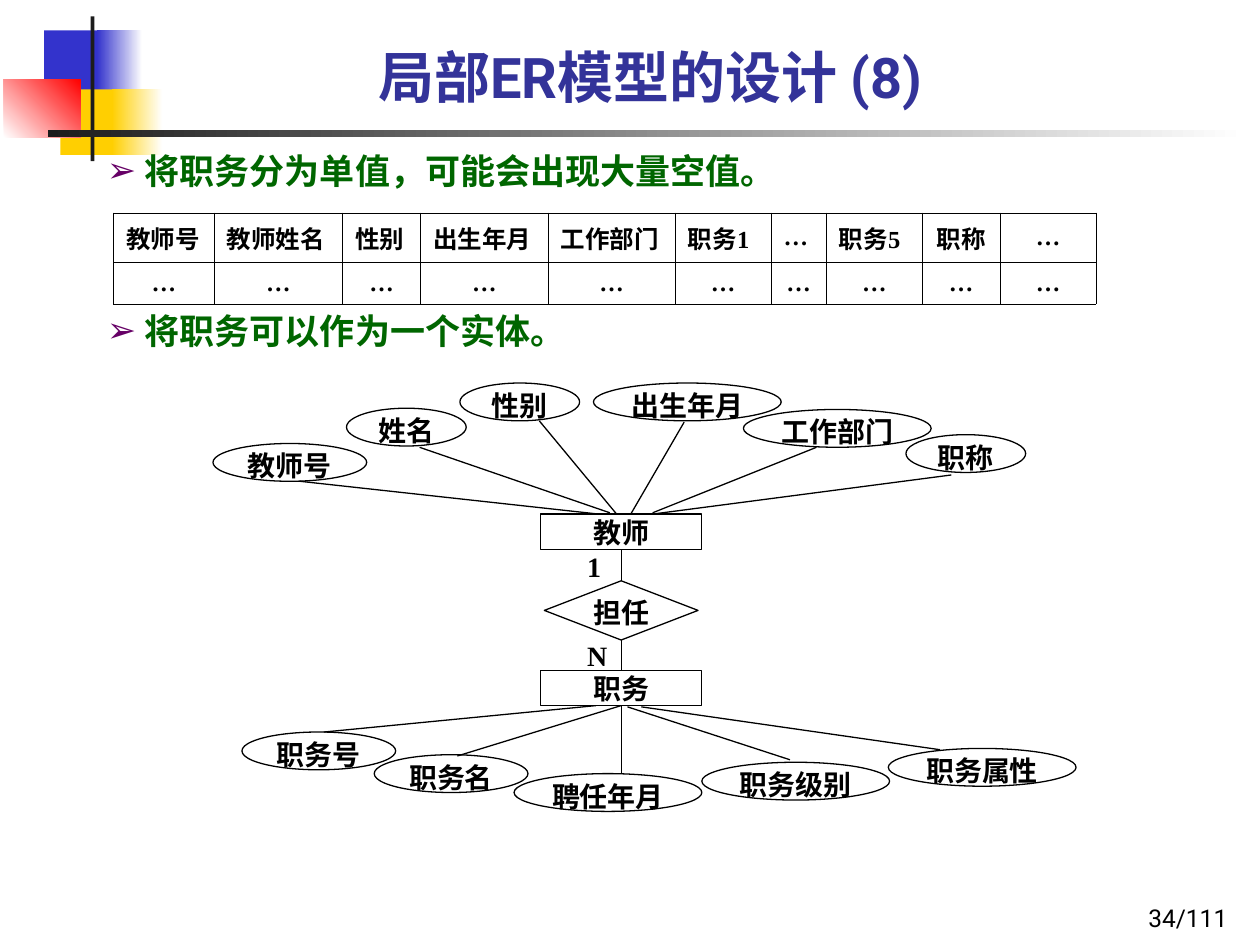
"""Build a slide on splitting the teacher's posts into an entity of a local ER model."""
from lxml.etree import SubElement
from pptx import Presentation
from pptx.dml.color import RGBColor
from pptx.enum.shapes import MSO_CONNECTOR, MSO_SHAPE
from pptx.enum.text import MSO_ANCHOR, PP_ALIGN
from pptx.oxml import parse_xml
from pptx.oxml.ns import nsdecls, qn
from pptx.util import Inches, Pt

THEME = {
    "sans": "Roboto", "serif": "Times New Roman",
    "title": "333399", "point": "006600", "bullet": "660066", "ink": "000000", "paper": "FFFFFF",
    "blue": "3333CC", "yellow": "FFCF01", "red": "FF0000", "bar": "1C1C1C",
    "title_size": 32, "point_size": 20, "diagram_size": 16, "small_size": 14,
    "line": 0.75, "border": 0.45,
}


def write(frame, text, size="diagram_size", color="ink", font="serif", bold=True,
          align=PP_ALIGN.CENTER, anchor=MSO_ANCHOR.TOP, margins=(0, 0, 0, 0), bullet=None):
    frame.word_wrap = True
    frame.vertical_anchor = anchor
    frame.margin_left, frame.margin_top, frame.margin_right, frame.margin_bottom = map(Inches, margins)
    paragraph = frame.paragraphs[0]
    paragraph.alignment = align
    if bullet:
        properties = paragraph._p.get_or_add_pPr()
        properties.set("marL", str(Inches(0.3)))
        properties.set("indent", str(Inches(-0.3)))
        bullet_color = SubElement(properties, qn("a:buClr"))
        SubElement(bullet_color, qn("a:srgbClr")).set("val", THEME["bullet"])
        SubElement(properties, qn("a:buFont")).set("typeface", THEME[font])
        SubElement(properties, qn("a:buChar")).set("char", bullet)
    run = paragraph.add_run()
    run.text = text
    run.font.name = THEME[font]
    run.font.size = Pt(THEME[size])
    run.font.bold = bold
    run.font.color.rgb = RGBColor.from_string(THEME[color])


def draw(kind, box, fill=None, fade=None, angle=0, outlined=False):
    shape = slide.shapes.add_shape(kind, *map(Inches, box))
    shape.shadow.inherit = False
    if fade:
        shape.fill.gradient()
        shape.fill.gradient_angle = angle
        for stop, name in zip(shape.fill.gradient_stops, (fill, fade)):
            stop.color.rgb = RGBColor.from_string(THEME[name])
    elif fill:
        shape.fill.solid()
        shape.fill.fore_color.rgb = RGBColor.from_string(THEME[fill])
    else:
        shape.fill.background()
    if outlined:
        shape.line.color.rgb = RGBColor.from_string(THEME["ink"])
        shape.line.width = Pt(THEME["line"])
    else:
        shape.line.fill.background()
    return shape


presentation = Presentation()
presentation.slide_width, presentation.slide_height = Inches(10), Inches(7.5)
slide = presentation.slides.add_slide(presentation.slide_layouts[6])

for box, fill, fade, angle in [
    ((0.35, 0.24, 0.48, 0.52), "blue", None, 0),
    ((0.77, 0.24, 0.36, 0.52), "blue", "paper", 0),
    ((0.48, 0.71, 0.46, 0.52), "yellow", None, 0),
    ((0.89, 0.71, 0.4, 0.52), "yellow", "paper", 0),
    ((0.03, 0.63, 0.61, 0.46), "paper", "red", 45),
    ((0.72, 0.13, 0.03, 1.15), "bar", None, 0),
    ((0.38, 1.03, 9.51, 0.06), "bar", "paper", 0),
]:
    draw(MSO_SHAPE.RECTANGLE, box, fill, fade, angle)

padding = (0.1, 0.05, 0.1, 0.05)
point_format = dict(size="point_size", color="point", font="sans", align=PP_ALIGN.LEFT,
                    margins=padding, bullet="➢")
for box, text, style in [
    ((7.76, 6.95, 2.08, 0.5), "34/111",
     dict(size="small_size", font="sans", bold=False, align=PP_ALIGN.RIGHT,
          anchor=MSO_ANCHOR.BOTTOM, margins=padding)),
    ((0.9, 0.05, 8.52, 0.87), "局部ER模型的设计 (8)",
     dict(size="title_size", color="title", font="sans", anchor=MSO_ANCHOR.BOTTOM, margins=padding)),
    ((0.75, 1.14, 7.79, 0.44), "将职务分为单值，可能会出现大量空值。", point_format),
    ((0.75, 2.41, 7.79, 0.44), "将职务可以作为一个实体。", point_format),
    ((4.66, 5.07, 0.22, 0.26), "N", dict(align=PP_ALIGN.JUSTIFY)),
    ((4.66, 4.36, 0.24, 0.26), "1", dict(align=PP_ALIGN.JUSTIFY)),
]:
    write(slide.shapes.add_textbox(*map(Inches, box)).text_frame, text, **style)

headers = ["教师号", "教师姓名", "性别", "出生年月", "工作部门", "职务1", "…", "职务5", "职称", "…"]
widths = [0.8, 1.02, 0.62, 1.01, 1.01, 0.76, 0.44, 0.76, 0.62, 0.76]
heights = [0.39, 0.33]
teacher_table = slide.shapes.add_table(
    len(heights), len(headers), Inches(0.9), Inches(1.69),
    Inches(sum(widths)), Inches(sum(heights))).table
teacher_table.first_row = teacher_table.horz_banding = False
for column, width in zip(teacher_table.columns, widths):
    column.width = Inches(width)
for table_row, height in zip(teacher_table.rows, heights):
    table_row.height = Inches(height)
for row, texts in enumerate([headers, ["…"] * len(headers)]):
    for index, text in enumerate(texts):
        cell = teacher_table.cell(row, index)
        centred = row == 1 or index >= 8
        write(cell.text_frame, text, size="small_size",
              align=PP_ALIGN.CENTER if centred else PP_ALIGN.LEFT)
        cell.margin_left, cell.margin_top, cell.margin_right, cell.margin_bottom = map(Inches, padding)
        cell.vertical_anchor = MSO_ANCHOR.MIDDLE
        cell_properties = cell._tc.get_or_add_tcPr()
        for side in ("lnL", "lnR", "lnT", "lnB"):
            cell_properties.append(parse_xml(
                f'<a:{side} {nsdecls("a")} w="{Pt(THEME["border"])}"><a:solidFill>'
                f'<a:srgbClr val="{THEME["ink"]}"/></a:solidFill></a:{side}>'))
        cell.fill.background()

for text, left, top, width in [
    ("教师号", 1.69, 3.52, 1.22), ("姓名", 2.75, 3.24, 0.95), ("性别", 3.65, 3.04, 0.95),
    ("出生年月", 4.71, 3.04, 1.49), ("工作部门", 5.9, 3.25, 1.49), ("职称", 7.19, 3.45, 0.95),
    ("职务号", 1.92, 5.81, 1.22), ("职务名", 2.97, 5.99, 1.22), ("聘任年月", 4.08, 6.14, 1.49),
    ("职务级别", 5.57, 6.05, 1.49), ("职务属性", 7.05, 5.94, 1.49),
]:
    attribute = draw(MSO_SHAPE.OVAL, (left, top, width, 0.3), outlined=True)
    write(attribute.text_frame, text)

connectors = []
for ends in [
    (4.75, 4.08, 2.38, 3.82), (4.84, 4.07, 3.33, 3.55), (4.96, 4.16, 4.28, 3.34),
    (4.96, 4.16, 5.43, 3.35), (5.18, 4.07, 6.48, 3.55), (5.18, 4.08, 7.55, 3.77),
    (4.73, 5.6, 2.57, 5.81), (4.98, 5.61, 6.27, 6.03), (5.09, 5.61, 7.46, 5.95),
]:
    connectors.append(slide.shapes.add_connector(MSO_CONNECTOR.STRAIGHT, *map(Inches, ends)))

axis = 4.93
entities = []
for text, top in [("教师", 4.08), ("职务", 5.32)]:
    entity = draw(MSO_SHAPE.RECTANGLE, (axis - 0.64, top, 1.28, 0.28), "paper", outlined=True)
    write(entity.text_frame, text, margins=(0, 0.01, 0, 0))
    entities.append(entity)
teacher, post = entities

for entity, end_x, end_y in [(teacher, axis, 5.32), (post, 3.63, 6), (post, axis, 6.14)]:
    joined = slide.shapes.add_connector(
        MSO_CONNECTOR.STRAIGHT, Inches(axis), Inches(5.6), Inches(end_x), Inches(end_y))
    joined.begin_connect(entity, 2)
    if entity is teacher:
        joined.end_connect(post, 0)
    connectors.append(joined)

for connector in connectors:
    connector.line.color.rgb = RGBColor.from_string(THEME["ink"])
    connector.line.width = Pt(THEME["line"])
    SubElement(connector._element.spPr, qn("a:effectLst"))

holds = draw(MSO_SHAPE.DIAMOND, (axis - 0.61, 4.61, 1.22, 0.47), "paper", outlined=True)
write(holds.text_frame, "担任")

presentation.save("out.pptx")
